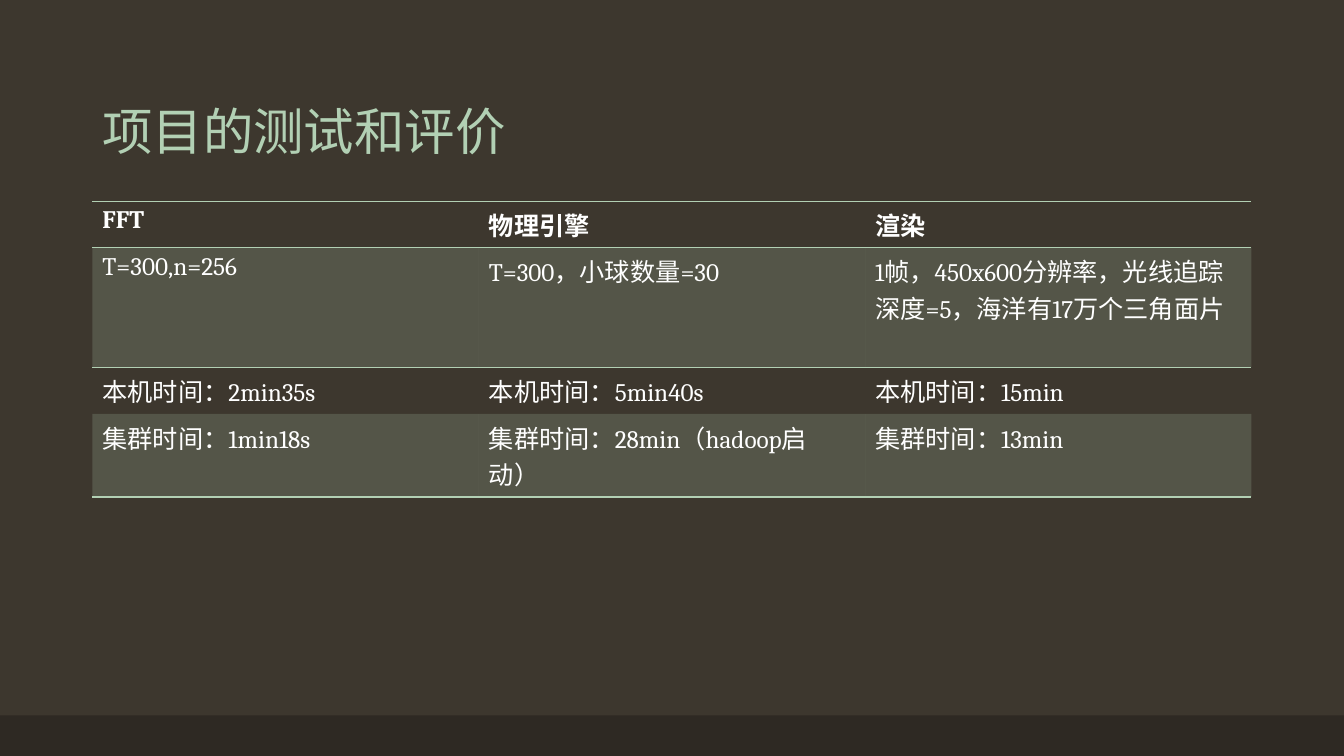
from lxml.etree import SubElement
from pptx import Presentation
from pptx.dml.color import RGBColor as Color
from pptx.enum.shapes import MSO_SHAPE as Shape
from pptx.enum.text import MSO_ANCHOR as Anchor
from pptx.oxml.ns import qn
from pptx.util import Pt

COLORS = {
    "background": "3D372E",
    "footer": "2E2923",
    "accent": "B2D0B4",
    "text": "FFFFFF",
}
NO_STYLE = "{2D5ABB26-0587-4C30-8999-92F81FD0307C}"
ROWS = [
    ["FFT", "物理引擎", "渲染"],
    ["T=300,n=256", "T=300，小球数量=30",
     "1帧，450x600分辨率，光线追踪深度=5，海洋有17万个三角面片"],
    ["本机时间：2min35s", "本机时间：5min40s", "本机时间：15min"],
    ["集群时间：1min18s", "集群时间：28min（hadoop启动）", "集群时间：13min"],
]
ROW_HEIGHTS = [33, 85.5, 33.5, 59.25]
ROW_BORDERS = ["TB", "T", "", "B"]


def color(name):
    return Color.from_string(COLORS[name])


def write(frame, text, *, size, font, fill, bold=False, spacing=None):
    para = frame.paragraphs[0]
    para.line_spacing = spacing
    span = para.add_run()
    span.text = text
    span.font.size = Pt(size)
    span.font.name = font
    span.font.bold = bold
    span.font.color.rgb = color(fill)


def fill_cell(cell, name, opacity):
    cell.fill.solid()
    cell.fill.fore_color.rgb = color(name)
    props = cell._tc.get_or_add_tcPr()
    tint = next(props.iter(qn("a:srgbClr")))
    SubElement(tint, qn("a:alpha"), val=str(opacity * 1000))


def add_borders(cell, sides, name, width):
    props = cell._tc.get_or_add_tcPr()
    for index, side in enumerate(sides):
        line = SubElement(props, qn(f"a:ln{side}"), w=str(Pt(width)))
        solid = SubElement(line, qn("a:solidFill"))
        SubElement(solid, qn("a:srgbClr"), val=COLORS[name])
        props.insert(index, line)  # borders come before the fill


def add_footer(page, left, top, width, height):
    band = page.shapes.add_shape(
        Shape.RECTANGLE, Pt(left), Pt(top), Pt(width), Pt(height))
    band.shadow.inherit = False
    band.fill.solid()
    band.fill.fore_color.rgb = color("footer")
    band.line.fill.background()


def add_title(page, left, top, width, height):
    box = page.shapes.add_textbox(Pt(left), Pt(top), Pt(width), Pt(height))
    box.text_frame.word_wrap = True
    box.text_frame.vertical_anchor = Anchor.BOTTOM
    write(box.text_frame, "项目的测试和评价",
          size=36, font="Arial", fill="accent", spacing=0.9)


def add_results(page, left, top, width, height):
    frame = page.shapes.add_table(
        len(ROWS), len(ROWS[0]), Pt(left), Pt(top), Pt(width), Pt(height))
    next(frame.element.iter(qn("a:tableStyleId"))).text = NO_STYLE
    table = frame.table
    table.horz_banding = False
    for row, texts in enumerate(ROWS):
        table.rows[row].height = Pt(ROW_HEIGHTS[row])
        for column, text in enumerate(texts):
            cell = table.cell(row, column)
            write(cell.text_frame, text, size=18, font="Cambria",
                  fill="text", bold=row == 0)
            # Every second row is tinted
            if row % 2:
                fill_cell(cell, "accent", 20)
            else:
                cell.fill.background()
            add_borders(cell, ROW_BORDERS[row], "accent", 1)


def main():
    deck = Presentation()
    deck.slide_width, deck.slide_height = Pt(960), Pt(540)
    page = deck.slides.add_slide(deck.slide_layouts[6])
    page.background.fill.solid()
    page.background.fill.fore_color.rgb = color("background")

    add_footer(page, 0, 511, 960, 29)
    add_title(page, 66, 28.75, 828, 90)
    add_results(page, 66, 143.75, 828, sum(ROW_HEIGHTS))
    deck.save("out.pptx")


if __name__ == "__main__":
    main()
